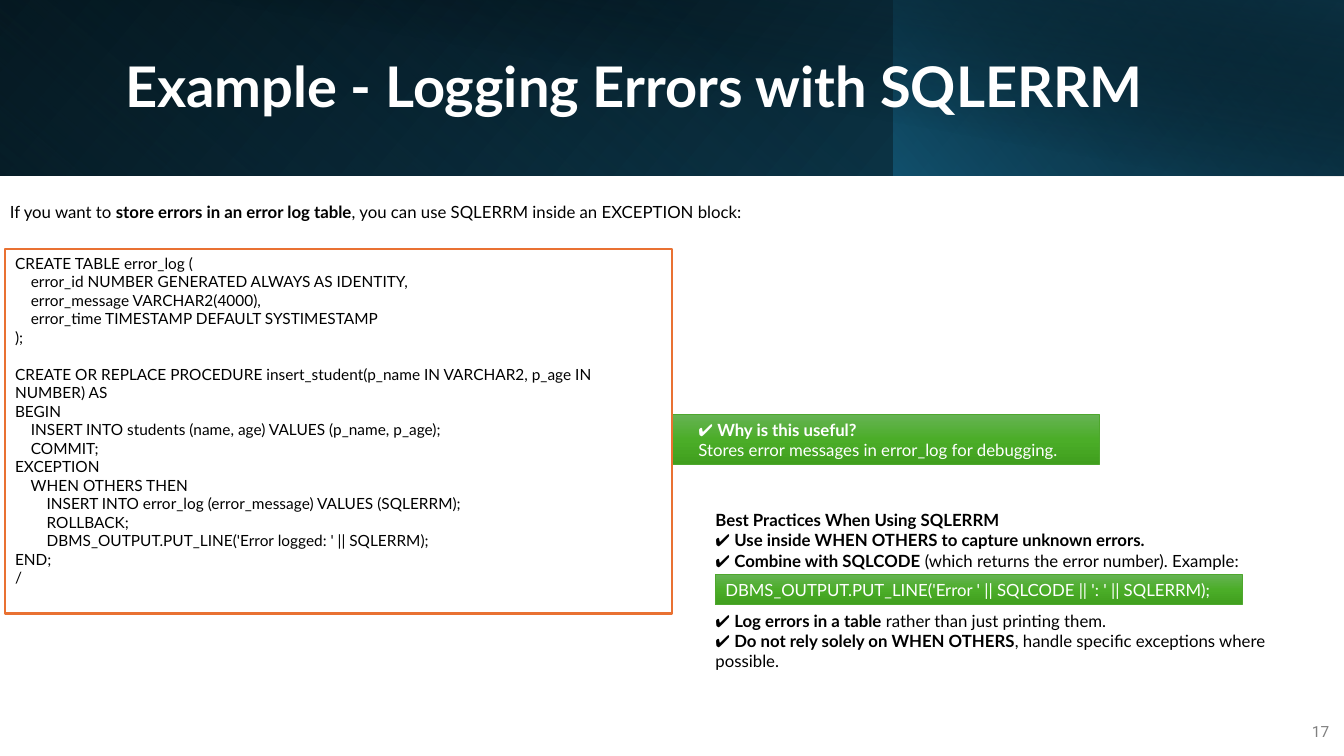
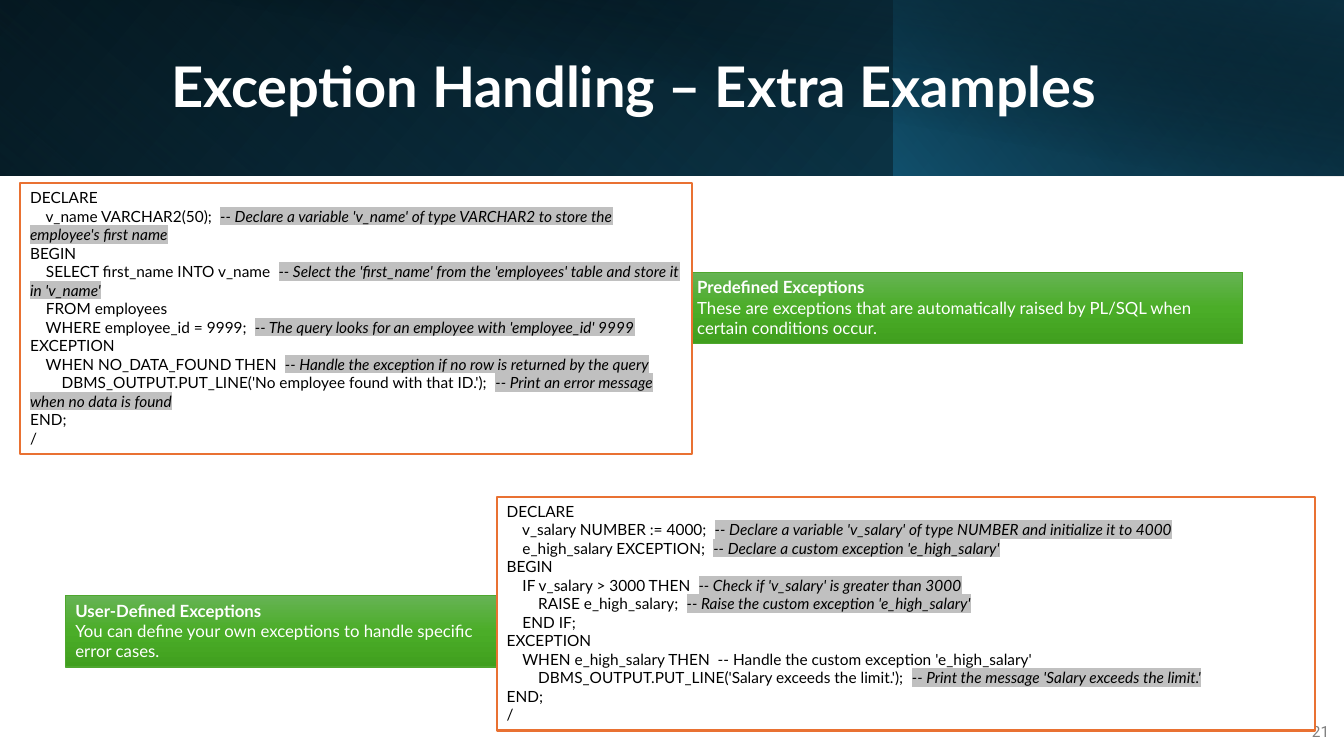
"""Build two slides on logging and handling exceptions in PL/SQL."""
from lxml.etree import SubElement as Sub
from pptx import Presentation as Deck
from pptx.dml.color import RGBColor as Rgb
from pptx.enum.shapes import MSO_SHAPE as Shape
from pptx.enum.text import MSO_ANCHOR as Anchor, MSO_AUTO_SIZE as Fit, PP_ALIGN as Align
from pptx.oxml.ns import qn
from pptx.util import Cm, Pt

INK = {
    "black": "000000", "white": "FFFFFF", "grey": "808080", "mark": "C0C0C0",
    "navy": "104862", "teal": "156082", "deep": "0B3041", "edge": "4EA72E",
    "lime": "66B354", "green": "4BAD28", "moss": "409F1E", "frame": "E97132",
}
LATO = {"name": "Lato", "bold": False, "italic": False}
HEAD = {**LATO, "size": Pt(40), "bold": True}
BODY = {**LATO, "size": Pt(12)}
CODE = {**LATO, "size": Pt(11)}
PAGE = {"name": "Roboto", "size": Pt(11)}
BOLD = {"bold": True}
NOTE = {"italic": True}

LEAF = [(0, "lime", 100), (50, "green", 100), (100, "moss", 100)]
BAND = [
    ((0, 0, 33.87, 4.42), [(0, "black", 100), (100, "navy", 100)], 140, True, 0),
    ((0, 0, 22.55, 4.42), [(20, "teal", 0), (100, "deep", 55)], 230, True, 180),
    ((22.53, 0, 11.34, 4.42), [(0, "teal", 66), (100, "black", 30)], 220, True, 0),
    ((1.27, 0, 32.6, 4.45), [(50, "black", 0), (99, "deep", 52)], 280, False, 0),
]

LOG = """CREATE TABLE error_log (
    error_id NUMBER GENERATED ALWAYS AS IDENTITY,
    error_message VARCHAR2(4000),
    error_time TIMESTAMP DEFAULT SYSTIMESTAMP
);
CREATE OR REPLACE PROCEDURE insert_student(p_name IN VARCHAR2, p_age IN NUMBER) AS
BEGIN
    INSERT INTO students (name, age) VALUES (p_name, p_age);
    COMMIT;
EXCEPTION
    WHEN OTHERS THEN
        INSERT INTO error_log (error_message) VALUES (SQLERRM);
        ROLLBACK;
        DBMS_OUTPUT.PUT_LINE('Error logged: ' || SQLERRM);
END;
/"""
FIND = """DECLARE
    v_name VARCHAR2(50);  ^-- Declare a variable 'v_name' of type VARCHAR2 to store the employee's first name
BEGIN
    SELECT first_name INTO v_name  ^-- Select the 'first_name' from the 'employees' table and store it in 'v_name'
    FROM employees
    WHERE employee_id = 9999;  ^-- The query looks for an employee with 'employee_id' 9999
EXCEPTION
    WHEN NO_DATA_FOUND THEN  ^-- Handle the exception if no row is returned by the query
        DBMS_OUTPUT.PUT_LINE('No employee found with that ID.');  ^-- Print an error message when no data is found
END;
/"""
RAISE = """DECLARE
    v_salary NUMBER := 4000;  ^-- Declare a variable 'v_salary' of type NUMBER and initialize it to 4000
    e_high_salary EXCEPTION;  ^-- Declare a custom exception 'e_high_salary'
BEGIN
    IF v_salary > 3000 THEN  ^-- Check if 'v_salary' is greater than 3000
        RAISE e_high_salary;  ^-- Raise the custom exception 'e_high_salary'
    END IF;
EXCEPTION
    WHEN e_high_salary THEN  -- Handle the custom exception 'e_high_salary'
        DBMS_OUTPUT.PUT_LINE('Salary exceeds the limit.');  ^-- Print the message 'Salary exceeds the limit.'
END;
/"""
TIPS = """^Best Practices When Using SQLERRM
✔ ^Use inside WHEN OTHERS to capture unknown errors.
✔ ^Combine with SQLCODE^ (which returns the error number). Example:
✔ ^Log errors in a table^ rather than just printing them.
✔ ^Do not rely solely on WHEN OTHERS^, handle specific exceptions where possible."""


def rgb(ink):
    """Return the named colour."""
    return Rgb.from_string(INK[ink])


def mark(run):
    """Highlight a run."""
    tag = run.font._rPr.find(qn("a:latin"))
    light = Sub(run.font._rPr, qn("a:highlight"))
    Sub(light, qn("a:srgbClr"), val=INK["mark"])
    tag.addprevious(light)


def write(shape, text, form, ink, accent=BOLD, align=Align.LEFT,
          anchor=Anchor.TOP, fit=Fit.SHAPE_TO_FIT_TEXT, dent=0, gaps=None):
    """Write lines of text in which ^ switches the accent on and off."""
    frame = shape.text_frame
    frame.word_wrap = True
    frame.auto_size = fit
    frame.vertical_anchor = anchor
    for row, line in enumerate(text.split("\n")):
        para = frame.add_paragraph() if row else frame.paragraphs[0]
        para.alignment = align
        if dent:
            para._p.get_or_add_pPr().set("marL", str(Cm(dent)))
        if row in (gaps or {}):
            para.space_before = Pt(gaps[row])
        for part, words in enumerate(line.split("^")):
            if not words:
                continue
            run = para.add_run()
            run.text = words
            odd = part % 2
            for key, val in {**form, **(accent if odd else {})}.items():
                setattr(run.font, key, val)
            run.font.color.rgb = rgb(ink)
            if odd and accent is NOTE:
                mark(run)
    return frame


def label(slide, spot, text, form, ink, **more):
    """Add a plain text box."""
    return write(slide.shapes.add_textbox(*map(Cm, spot)), text, form, ink, **more)


def box(slide, spot, edge=None, width=1):
    """Add a rectangle without shadow."""
    shape = slide.shapes.add_shape(Shape.RECTANGLE, *map(Cm, spot))
    shape.shadow.inherit = False
    if edge:
        shape.line.color.rgb = rgb(edge)
        shape.line.width = Pt(width)
    else:
        shape.line.fill.background()
    return shape


def blend(shape, stops, angle):
    """Fill a shape with a linear gradient of (place, colour, opacity) stops."""
    shape.fill.gradient()
    grad = shape.element.spPr.find(qn("a:gradFill"))
    for kid in list(grad):
        grad.remove(kid)
    steps = Sub(grad, qn("a:gsLst"))
    for place, ink, alpha in stops:
        stop = Sub(steps, qn("a:gs"), pos=str(place * 1000))
        tone = Sub(stop, qn("a:srgbClr"), val=INK[ink])
        if alpha < 100:
            Sub(tone, qn("a:alpha"), val=str(alpha * 1000))
    Sub(grad, qn("a:lin"), ang=str(angle * 60000), scaled="0")


def panel(slide, spot, text, **more):
    """Add a green callout."""
    shape = box(slide, spot, "edge")
    blend(shape, LEAF, 90)
    write(shape, text, BODY, "white", **more)


def code(slide, spot, text, **more):
    """Add a framed code listing."""
    shape = box(slide, spot, "frame", 1.5)
    shape.fill.solid()
    shape.fill.fore_color.rgb = rgb("white")
    write(shape, text, CODE, "black", accent=NOTE, **more)


def start(deck, title, page):
    """Add a slide with its band, title and number."""
    slide = deck.slides.add_slide(deck.slide_layouts[6])
    for spot, stops, angle, flip, turn in BAND:
        shape = box(slide, spot)
        blend(shape, stops, angle)
        shape.rotation = turn
        if flip:
            shape.element.spPr.xfrm.set("flipH", "1")
    mid = {"anchor": Anchor.MIDDLE, "fit": Fit.NONE}
    head = label(slide, (0.64, 0.81, 30.66, 2.87), title, HEAD, "white",
                 align=Align.CENTER, **mid)
    head.paragraphs[0].line_spacing = 0.9
    foot = label(slide, (32.51, 17.93, 1.24, 1.02), page, PAGE, "grey",
                 align=Align.RIGHT, **mid)
    foot.paragraphs[0].space_after = Pt(6)
    return slide


def errors(deck):
    """Build the slide on logging errors."""
    slide = start(deck, "Example - Logging Errors with SQLERRM", "17")
    label(slide, (0, 4.95, 20.17, 0.76),
          "If you want to ^store errors in an error log table^, "
          "you can use SQLERRM inside an EXCEPTION block:",
          BODY, "black", anchor=Anchor.MIDDLE)
    panel(slide, (14.81, 10.44, 12.9, 1.27),
          "✔ ^Why is this useful?\nStores error messages in error_log for debugging.",
          anchor=Anchor.MIDDLE, dent=2.54)
    code(slide, (0.13, 6.27, 16.81, 9.19), LOG, gaps={5: 13.2}, fit=Fit.NONE)
    label(slide, (17.78, 12.7, 15.98, 4.37), TIPS, BODY, "black",
          anchor=Anchor.MIDDLE, gaps={3: 28.8})
    panel(slide, (18.03, 14.48, 13.28, 0.76),
          "DBMS_OUTPUT.PUT_LINE('Error ' || SQLCODE || ': ' || SQLERRM);")


def extras(deck):
    """Build the slide with extra examples."""
    slide = start(deck, "Exception Handling – Extra Examples", "21")
    panel(slide, (16.05, 6.86, 15.27, 1.8),
          "^Predefined Exceptions\nThese are exceptions that are automatically "
          "raised by PL/SQL when certain conditions occur.", dent=1.27)
    panel(slide, (1.65, 15.01, 10.87, 1.8),
          "^User-Defined Exceptions\nYou can define your own exceptions "
          "to handle specific error cases.")
    code(slide, (0.51, 4.62, 16.94, 6.83), FIND)
    code(slide, (12.52, 12.52, 20.62, 5.89), RAISE)


def main():
    """Build and save the deck."""
    deck = Deck()
    deck.slide_width, deck.slide_height = Cm(33.87), Cm(19.05)
    errors(deck)
    extras(deck)
    deck.save("out.pptx")


if __name__ == "__main__":
    main()
